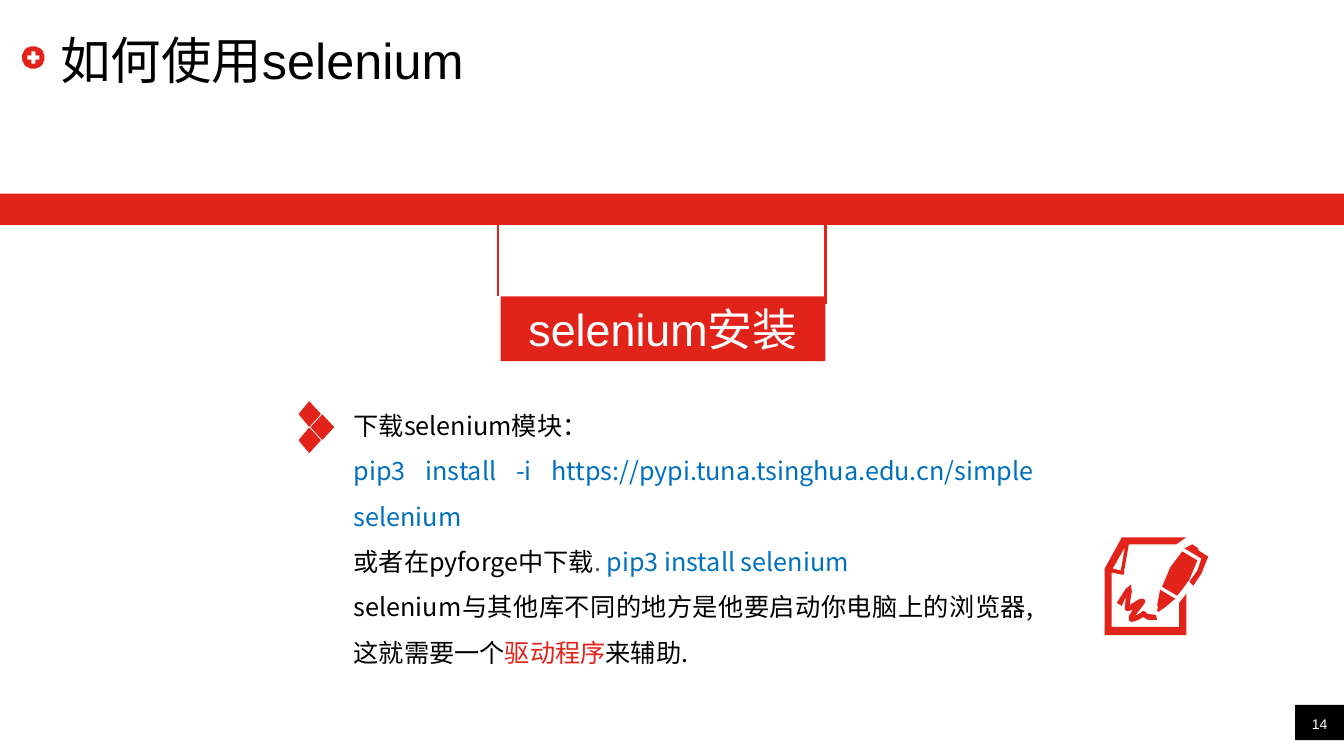
from math import cos, pi, sin
from typing import NamedTuple

from lxml.etree import SubElement
from pptx import Presentation
from pptx.dml.color import RGBColor
from pptx.enum.shapes import MSO_CONNECTOR, MSO_SHAPE
from pptx.enum.text import MSO_ANCHOR, MSO_AUTO_SIZE, PP_ALIGN
from pptx.oxml.ns import qn
from pptx.shapes.autoshape import Shape
from pptx.slide import Slide
from pptx.text.text import TextFrame
from pptx.util import Cm, Pt

RED = RGBColor(0xE2, 0x23, 0x1A)
BLUE = RGBColor(0x00, 0x70, 0xC0)
GRAY = RGBColor(0x59, 0x59, 0x59)
BLACK = RGBColor(0x00, 0x00, 0x00)
WHITE = RGBColor(0xFF, 0xFF, 0xFF)
LATIN, CHINESE = "Arial", "Noto Sans CJK SC"
ICON_UNIT = Cm(2.54) / 100

Contour = list[tuple[float, float]]


class Area(NamedTuple):
    left: float
    top: float
    width: float
    height: float


class Span(NamedTuple):
    text: str
    color: RGBColor = BLACK


class Style(NamedTuple):
    size: float
    font: str = LATIN
    align: PP_ALIGN = PP_ALIGN.LEFT
    spacing: float = 1.0


class Bar(NamedTuple):
    area: Area
    color: RGBColor


class Icon(NamedTuple):
    left: float
    top: float
    contours: list[Contour]
    outlined: bool = False


class Hanger(NamedTuple):
    x: float
    bottom: float


def place(shape: Shape, area: Area) -> None:
    for name, value in area._asdict().items():
        setattr(shape, name, Cm(value))


def format_frame(frame: TextFrame, anchor: MSO_ANCHOR, margin: float | None = None) -> None:
    formats = {"word_wrap": True, "auto_size": MSO_AUTO_SIZE.NONE, "vertical_anchor": anchor}
    if margin is not None:
        formats |= {f"margin_{side}": Cm(margin) for side in ("left", "top", "right", "bottom")}
    for name, value in formats.items():
        setattr(frame, name, value)


def write(frame: TextFrame, paragraphs: list[list[Span]], style: Style) -> None:
    for index, spans in enumerate(paragraphs):
        para = frame.paragraphs[0] if index == 0 else frame.add_paragraph()
        properties = para._p.get_or_add_pPr()
        properties.set("marL", "0")
        properties.set("indent", "0")
        SubElement(properties, qn("a:buNone"))
        formats = {"alignment": style.align, "line_spacing": style.spacing, "space_before": Pt(0)}
        for name, value in formats.items():
            setattr(para, name, value)
        for span in spans:
            run = para.add_run()
            run.text = span.text
            run.font.name, run.font.size = style.font, Pt(style.size)
            run.font.color.rgb = span.color
            SubElement(run._r.get_or_add_rPr(), qn("a:ea"), typeface=CHINESE)


def paint(shape: Shape, color: RGBColor) -> None:
    shape.shadow.inherit = False
    shape.fill.solid()
    shape.fill.fore_color.rgb = color
    shape.line.fill.background()


def add_bar(page: Slide, bar: Bar) -> Shape:
    shape = page.shapes.add_shape(MSO_SHAPE.RECTANGLE, *map(Cm, bar.area))
    paint(shape, bar.color)
    return shape


def add_hanger(page: Slide, hanger: Hanger, top: float) -> None:
    line = page.shapes.add_connector(
        MSO_CONNECTOR.STRAIGHT, Cm(hanger.x), Cm(top), Cm(hanger.x), Cm(hanger.bottom))
    line.line.color.rgb = RED
    line.line.width = Pt(2)
    SubElement(line._element.spPr, qn("a:effectLst"))


def add_icon(page: Slide, icon: Icon) -> None:
    first, *holes = icon.contours
    builder = page.shapes.build_freeform(*first[0], scale=ICON_UNIT)
    builder.add_line_segments(first[1:])
    for contour in holes:
        builder.move_to(*contour[0])
        builder.add_line_segments(contour[1:])
    shape = builder.convert_to_shape(Cm(icon.left), Cm(icon.top))
    paint(shape, RED)
    if icon.outlined:
        shape.line.color.rgb = RED
        shape.line.width = Pt(0.75)


def circle(center: float, radius: float, steps: int = 48) -> Contour:
    angles = [2 * pi * step / steps for step in range(steps)]
    return [(center + radius * cos(angle), center + radius * sin(angle)) for angle in angles]


def plus(center: float, reach: float, half: float) -> Contour:
    corners = [(half, -reach), (half, -half), (reach, -half)]
    points = []
    for _ in range(4):
        points += [(center + x, center + y) for x, y in corners]
        corners = [(-y, x) for x, y in corners]
    return points


def diamond(x: float, y: float, half_width: float = 10.5, half_height: float = 12) -> Contour:
    return [(x, y - half_height), (x + half_width, y), (x, y + half_height), (x - half_width, y)]


PAPER = [(19, 0), (81, 0), (71, 7), (24, 7), (19, 35), (19, 37), (17, 37), (7, 35), (7, 89),
         (74, 89), (74, 65), (81, 56), (81, 97), (0, 97), (0, 31), (16, 2), (17, 0)]
FOLD = [(20, 10), (8, 31), (16, 33)]
SIGNATURE = [(12, 65), (17, 68), (21, 59), (20, 71), (21, 73), (24, 73), (28, 72), (24, 78),
             (24, 82), (26, 84), (31, 83), (37, 80), (38, 79), (43, 82), (52, 82), (51, 77),
             (42, 76), (41, 74), (38, 73), (34, 76), (30, 78), (34, 73), (40, 65), (40, 62),
             (38, 61), (35, 61), (30, 64), (25, 67), (26, 59), (27, 54), (26, 47), (21, 51)]
NIB = [(55, 52), (52, 68), (53, 68), (52, 73), (54, 74), (57, 71), (58, 71), (70, 61)]
CLIP = [(93, 13), (93, 11), (87, 7), (79, 11), (86, 15), (94, 20), (96, 21), (92, 33),
        (84, 44), (88, 48), (96, 36), (102, 21), (103, 19), (101, 18)]
BARREL = [(77, 14), (65, 30), (57, 49), (72, 58), (79, 49), (84, 42), (92, 23)]

ICONS = [
    Icon(0.56, 1.17, [circle(11, 11), plus(11, 6, 1.8)]),
    Icon(7.54, 10.13, [diamond(10.5, 38), diamond(23, 25), diamond(10.5, 12)], outlined=True),
    Icon(27.84, 13.54, [PAPER, SIGNATURE, FOLD, NIB, CLIP, BARREL]),
]
BAND = Bar(Area(0, 4.88, 33.87, 0.79), RED)
LABEL = Bar(Area(12.62, 7.47, 8.18, 1.63), RED)
PAGE_TAB = Bar(Area(32.64, 17.76, 1.23, 0.89), BLACK)
HANGERS = [Hanger(12.55, 7.47), Hanger(20.8, 7.65)]
STEPS = [
    [Span("下载selenium模块：")],
    [Span("pip3 install -i https://pypi.tuna.tsinghua.edu.cn/simple selenium", BLUE)],
    [Span("或者在pyforge中下载"), Span(". ", GRAY), Span("pip3 install selenium", BLUE)],
    [Span("selenium与其他库不同的地方是他要启动你电脑上的浏览器, 这就需要⼀个"),
     Span("驱动程序", RED), Span("来辅助.")],
]


def main() -> None:
    deck = Presentation()
    deck.slide_width, deck.slide_height = Cm(33.87), Cm(19.05)
    page = deck.slides.add_slide(deck.slide_layouts[1])

    title = page.shapes.title
    place(title, Area(1.52, 0.76, 30.76, 1.45))
    format_frame(title.text_frame, MSO_ANCHOR.MIDDLE, margin=0)
    write(title.text_frame, [[Span("如何使用selenium")]], Style(36))

    body = page.placeholders[1]
    place(body, Area(8.66, 9.83, 17.65, 7.49))
    format_frame(body.text_frame, MSO_ANCHOR.TOP)
    write(body.text_frame, STEPS, Style(18, CHINESE, PP_ALIGN.JUSTIFY, 1.5))

    add_bar(page, BAND)
    label = add_bar(page, LABEL)
    format_frame(label.text_frame, MSO_ANCHOR.MIDDLE)
    write(label.text_frame, [[Span("selenium安装", WHITE)]], Style(32, align=PP_ALIGN.CENTER))
    for hanger in HANGERS:
        add_hanger(page, hanger, BAND.area.top + BAND.area.height)
    for icon in ICONS:
        add_icon(page, icon)

    add_bar(page, PAGE_TAB)
    number = page.shapes.add_textbox(*map(Cm, Area(32.64, 17.76, 1.23, 0.69)))
    format_frame(number.text_frame, MSO_ANCHOR.BOTTOM, margin=0)
    write(number.text_frame, [[Span("14", WHITE)]], Style(10, align=PP_ALIGN.CENTER))

    deck.save("out.pptx")


if __name__ == "__main__":
    main()
